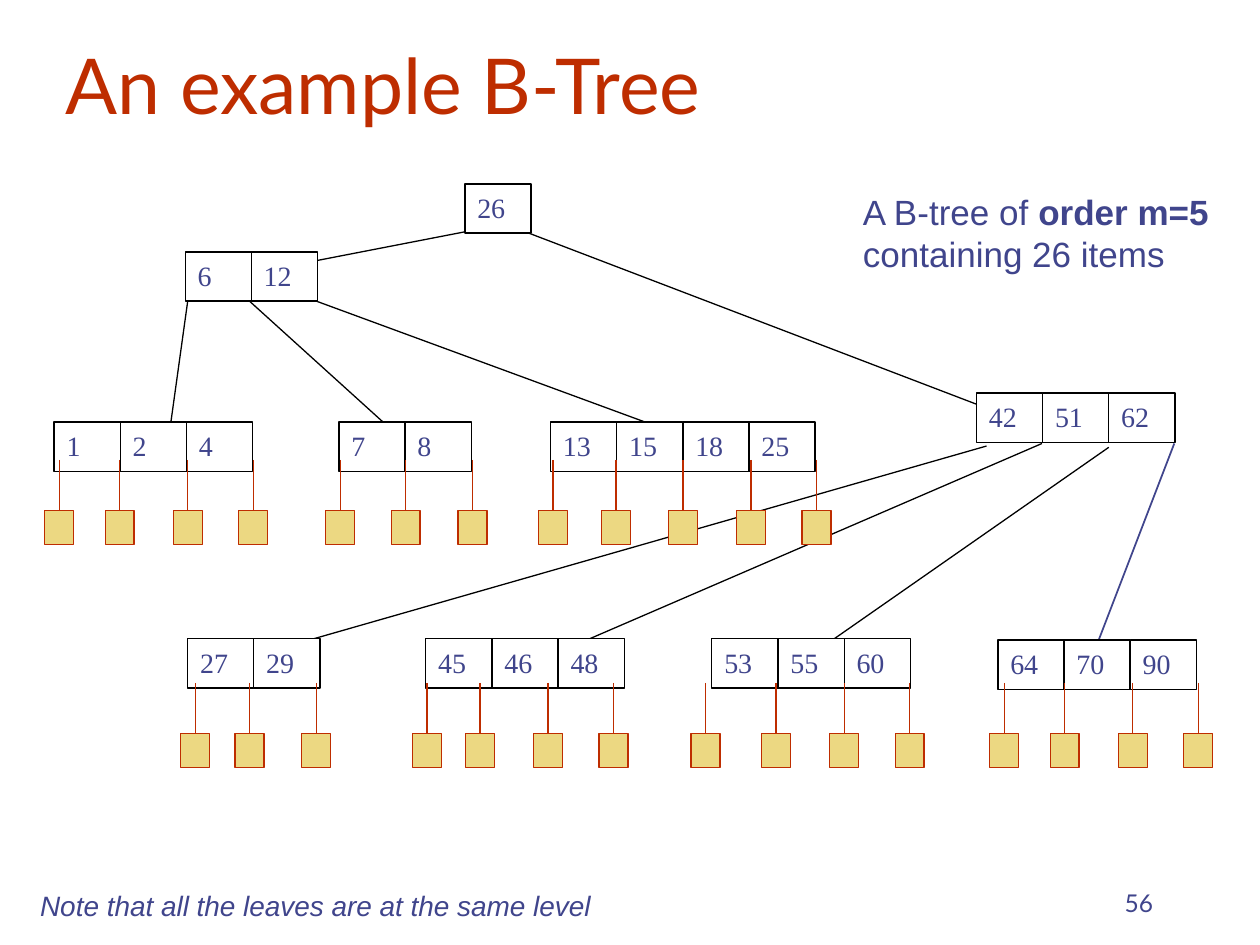
from lxml import etree
from pptx import Presentation
from pptx.dml.color import RGBColor
from pptx.enum.shapes import MSO_CONNECTOR, MSO_SHAPE
from pptx.enum.text import MSO_ANCHOR, PP_ALIGN
from pptx.oxml.ns import qn
from pptx.util import Inches, Pt

RECT, STRAIGHT = MSO_SHAPE.RECTANGLE, MSO_CONNECTOR.STRAIGHT
LEFT, RIGHT = PP_ALIGN.LEFT, PP_ALIGN.RIGHT
TOP, BOTTOM = MSO_ANCHOR.TOP, MSO_ANCHOR.BOTTOM
RED, BLUE, BLACK, WHITE, GOLD = "BE2D00", "40458C", "000000", "FFFFFF", "ECD882"

# Content: each node is left, top, keys
NODES = [
    (3.69, 1.46, [26]),
    (1.47, 2.0, [6, 12]),
    (7.75, 3.12, [42, 51, 62]),
    (0.43, 3.35, [1, 2, 4]),
    (2.69, 3.35, [7, 8]),
    (4.37, 3.35, [13, 15, 18, 25]),
    (1.49, 5.07, [27, 29]),
    (3.38, 5.07, [45, 46, 48]),
    (5.65, 5.07, [53, 55, 60]),
    (7.92, 5.08, [64, 70, 90]),
]
# Edges: start, end, colour, width
EDGES = [
    ((8.67, 5.21), (9.32, 3.52), BLUE, 1),
    ((4.17, 5.29), (8.27, 3.52), BLACK, 0.75),
    ((3.69, 1.84), (1.99, 2.17), BLACK, 0.75),
    ((4.17, 1.84), (8.54, 3.51), BLACK, 0.75),
    ((2.51, 2.39), (5.42, 3.46), BLACK, 0.75),
    ((1.98, 2.39), (3.25, 3.54), BLACK, 0.75),
    ((1.49, 2.39), (1.33, 3.54), BLACK, 0.75),
    ((8.8, 3.55), (6.42, 5.21), BLACK, 0.75),
    ((7.83, 3.54), (2.0, 5.21), BLACK, 0.75),
]
# Leaves: top of the stems, stem positions
LEAF_ROWS = [
    (3.65, [0.47, 0.95, 1.49, 2.01, 2.7, 3.22, 3.75,
            4.39, 4.89, 5.42, 5.96, 6.48]),
    (5.42, [1.55, 1.98, 2.51, 3.39, 3.81, 4.35, 4.87, 5.6,
            6.16, 6.7, 7.22, 7.97, 8.45, 8.99, 9.51]),
]
KEY_WIDTH, KEY_HEIGHT = 0.525, 0.39
LEAF_WIDTH, LEAF_HEIGHT, STEM = 0.23, 0.27, 0.4


def colour(value):
    return RGBColor.from_string(value)


def write(shape, spans, font, size, ink, align=LEFT, anchor=TOP, wrap=True):
    """Fill a shape with one paragraph of (text, bold, italic) spans."""
    frame = shape.text_frame
    frame.word_wrap = wrap
    frame.vertical_anchor = anchor
    para = frame.paragraphs[0]
    para.alignment = align
    for text, bold, italic in spans:
        span = para.add_run()
        span.text = text
        span.font.name, span.font.size = font, Pt(size)
        span.font.bold, span.font.italic = bold, italic
        span.font.color.rgb = colour(ink)


def add_box(shapes, left, top, width, height, fill, line):
    box = shapes.add_shape(RECT, Inches(left), Inches(top),
                           Inches(width), Inches(height))
    box.shadow.inherit = False
    box.fill.solid()
    box.fill.fore_color.rgb = colour(fill)
    box.line.color.rgb = colour(line)
    box.line.width = Pt(0.75)
    return box


def add_line(shapes, start, end, ink, width=0.75):
    line = shapes.add_connector(STRAIGHT, *map(Inches, start + end))
    line.line.color.rgb = colour(ink)
    line.line.width = Pt(width)
    etree.SubElement(line._element.spPr, qn("a:effectLst"))


def add_text(page, left, top, width, height, *args, **kwargs):
    box = page.shapes.add_textbox(Inches(left), Inches(top),
                                  Inches(width), Inches(height))
    write(box, *args, **kwargs)


def main():
    deck = Presentation()
    deck.slide_width, deck.slide_height = Inches(10), Inches(7.5)
    page = deck.slides.add_slide(deck.slide_layouts[5])

    # Title and page number
    title = page.shapes.title
    title.left, title.top = Inches(0.42), Inches(0)
    title.width, title.height = Inches(8.5), Inches(1.08)
    write(title, [("An example B-Tree", False, False)], "Lato", 44, RED,
          anchor=BOTTOM)
    add_text(page, 7.17, 6.83, 2.08, 0.5, [("56", False, False)], "Lato", 14,
             BLUE, align=RIGHT, anchor=BOTTOM)

    # Edges lie behind the nodes
    for edge in EDGES:
        add_line(page.shapes, *edge)

    # Nodes, one box for each key
    for left, top, keys in NODES:
        for place, key in enumerate(keys):
            box = add_box(page.shapes, left + place * KEY_WIDTH, top,
                          KEY_WIDTH, KEY_HEIGHT, WHITE, BLACK)
            write(box, [(str(key), False, False)], "Times New Roman", 16, BLUE)

    # Remarks
    add_text(page, 6.75, 1.46, 3.17, 0.77,
             [("A B-tree of ", False, False), ("order m=5 ", True, False),
              ("containing 26 items", False, False)], "Arial", 20, BLUE)
    add_text(page, 0.22, 7.0, 4.59, 0.37,
             [("Note that all the leaves are at the same level", False, True)],
             "Arial", 16, BLUE, wrap=False)

    # Leaves, each grouped with its stem
    for top, centres in LEAF_ROWS:
        for centre in centres:
            leaf = page.shapes.add_group_shape().shapes
            add_box(leaf, centre - LEAF_WIDTH / 2, top + STEM,
                    LEAF_WIDTH, LEAF_HEIGHT, GOLD, RED)
            add_line(leaf, (centre, top), (centre, top + STEM), RED)

    deck.save("out.pptx")


if __name__ == "__main__":
    main()
